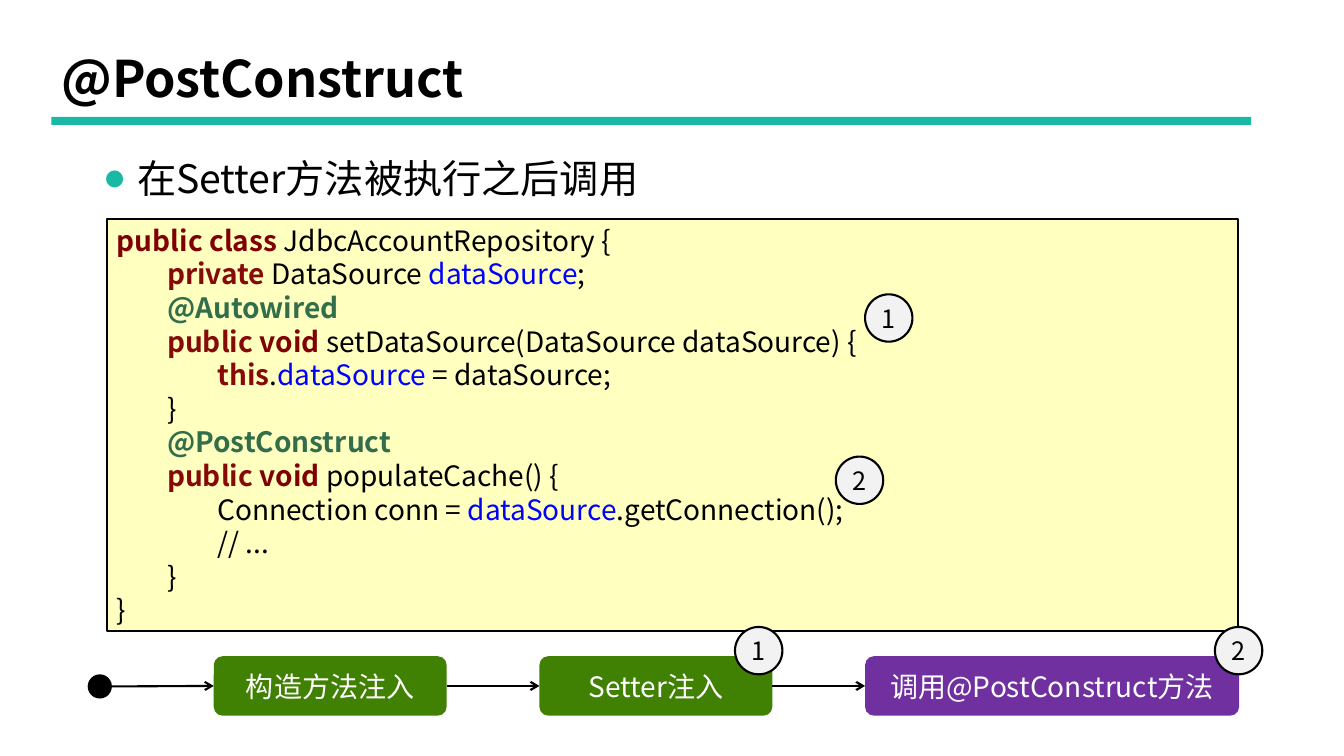
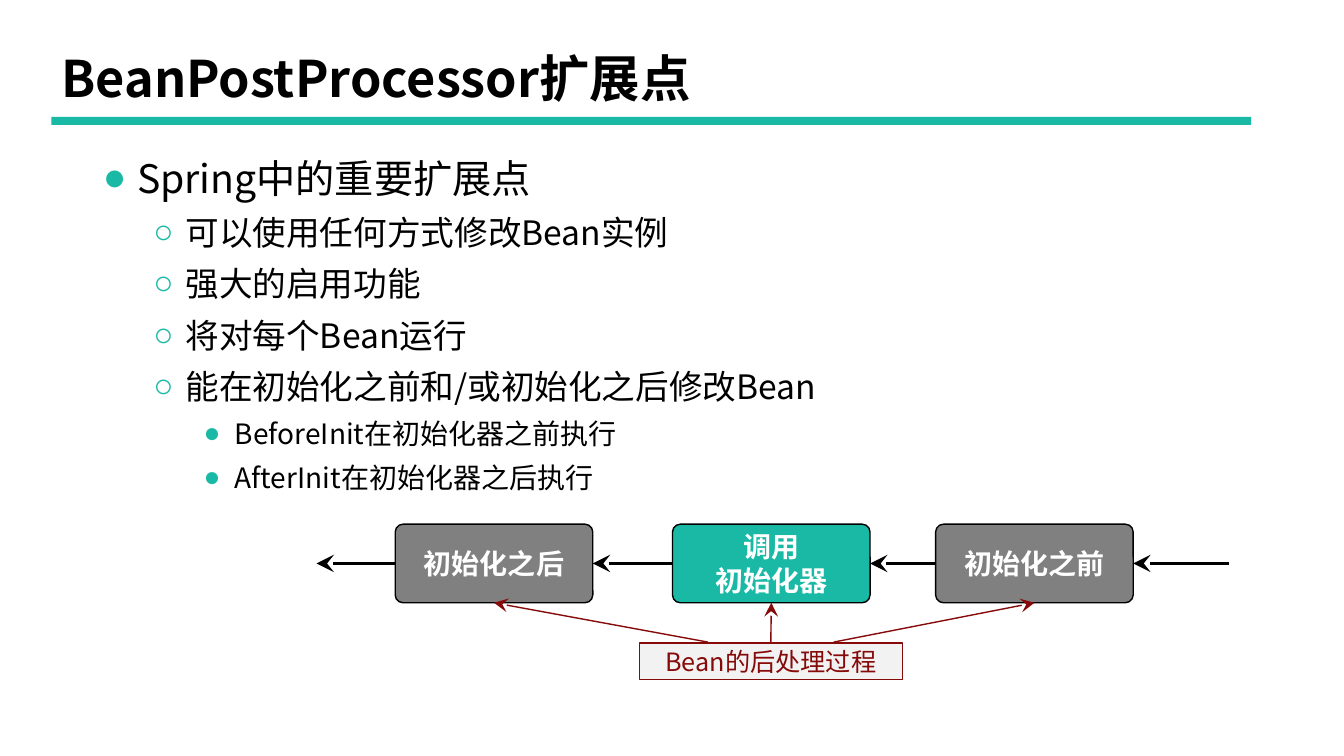
from lxml import etree
from pptx import Presentation
from pptx.dml.color import RGBColor
from pptx.enum.shapes import MSO_CONNECTOR, MSO_SHAPE
from pptx.enum.text import MSO_ANCHOR, MSO_AUTO_SIZE, PP_ALIGN
from pptx.oxml.ns import qn
from pptx.util import Emu, Pt

RECT, ROUND, OVAL = MSO_SHAPE.RECTANGLE, MSO_SHAPE.ROUNDED_RECTANGLE, MSO_SHAPE.OVAL
STRAIGHT = MSO_CONNECTOR.STRAIGHT
LEFT, CENTER = PP_ALIGN.LEFT, PP_ALIGN.CENTER
TOP, MIDDLE = MSO_ANCHOR.TOP, MSO_ANCHOR.MIDDLE
NO_FIT = MSO_AUTO_SIZE.NONE
SIDE_LEFT, SIDE_BOTTOM, SIDE_RIGHT, SIDE_TOP = 1, 2, 3, 0

FONT = "Noto Sans CJK SC"
EMU_PER_PX = 9144
BLACK, WHITE, TEAL, PALE = "000000", "FFFFFF", "1AB9A5", "F2F2F2"
GREEN, PURPLE, GRAY, CREAM = "408002", "7030A0", "808080", "FFFFC0"
MAROON, DARK_RED, BLUE, PINE = "800002", "850A09", "0000FF", "326E4C"
BOLD_CODE = {MAROON, DARK_RED, PINE}

# level: (bullet, text size, left margin, hanging indent, space before)
LEVELS = [("●", 28, 34, 34, 10), ("○", 24, 82, 32, 5), ("●", 20, 131, 31, 5)]

CODE = [
    (0, [("public class ", MAROON), ("JdbcAccountRepository {", BLACK)]),
    (1, [("private ", DARK_RED), ("DataSource ", BLACK), ("dataSource", BLUE), (";", BLACK)]),
    (1, [("@Autowired", PINE)]),
    (1, [("public ", DARK_RED), ("void ", MAROON),
         ("setDataSource(DataSource dataSource) {", BLACK)]),
    (2, [("this", DARK_RED), (".", BLACK), ("dataSource ", BLUE), ("= dataSource;", BLACK)]),
    (1, [("}", BLACK)]),
    (1, [("@PostConstruct", PINE)]),
    (1, [("public ", DARK_RED), ("void ", MAROON), ("populateCache() {", BLACK)]),
    (2, [("Connection conn = ", BLACK), ("dataSource", BLUE), (".getConnection();", BLACK)]),
    (2, [("// ...", BLACK)]),
    (1, [("}", BLACK)]),
    (0, [("}", BLACK)]),
]


def px(n):
    """Turn pixels into EMU."""
    return Emu(n * EMU_PER_PX)


def rgb(color):
    """Turn a hex string into a colour."""
    return RGBColor.from_string(color)


def add_text(p, text, size=20, color=BLACK, bold=False):
    """Add a formatted run to a paragraph."""
    r = p.add_run()
    r.text = text
    r.font.size, r.font.bold, r.font.name = Pt(size), bold, FONT
    r.font.color.rgb = rgb(color)
    etree.SubElement(r.font._element, qn("a:ea"), typeface=FONT)


def paragraphs(tf, count):
    """Yield the given number of paragraphs of a text frame."""
    for i in range(count):
        yield tf.add_paragraph() if i else tf.paragraphs[0]


def set_frame(tf, anchor=MIDDLE, inset=0):
    """Set wrapping, anchor and side insets of a text frame."""
    tf.word_wrap, tf.auto_size, tf.vertical_anchor = True, NO_FIT, anchor
    tf.margin_left = tf.margin_right = px(inset)


def place(sp, x, y, w, h):
    """Move and size a shape."""
    sp.left, sp.top, sp.width, sp.height = px(x), px(y), px(w), px(h)


def add_box(s, kind, x, y, w, h, fill, line=None, weight=1, radius=None):
    """Add a filled preset shape."""
    sp = s.shapes.add_shape(kind, px(x), px(y), px(w), px(h))
    sp.shadow.inherit = False
    sp.fill.solid()
    sp.fill.fore_color.rgb = rgb(fill)
    if line:
        sp.line.color.rgb, sp.line.width = rgb(line), Pt(weight)
    else:
        sp.line.fill.background()
    if radius is not None:
        sp.adjustments[0] = radius
    set_frame(sp.text_frame)
    return sp


def add_label(sp, *lines, **style):
    """Write centred lines into a shape."""
    for p, text in zip(paragraphs(sp.text_frame, len(lines)), lines):
        p.alignment = CENTER
        add_text(p, text, **style)
    return sp


def add_badge(s, x, y, number):
    """Add a numbered circle."""
    sp = add_box(s, OVAL, x, y, 47, 47, PALE, BLACK, 1.5)
    add_label(sp, number, size=18)


def add_arrow(s, start, end, color=BLACK, weight=1.5, head="arrow", size="med"):
    """Add an arrow; each end is a point or a (shape, side) pair."""
    points = [(0, 0) if joined(e) else e for e in (start, end)]
    c = s.shapes.add_connector(STRAIGHT, *[px(n) for point in points for n in point])
    if joined(start):
        c.begin_connect(*start)
    if joined(end):
        c.end_connect(*end)
    c.line.color.rgb, c.line.width = rgb(color), Pt(weight)
    etree.SubElement(c.line._get_or_add_ln(), qn("a:tailEnd"), type=head, w=size, len=size)
    etree.SubElement(c._element.spPr, qn("a:effectLst"))


def joined(end):
    """Tell whether an arrow end names a shape."""
    return not isinstance(end[0], int)


def add_bullet(p, level, text, first):
    """Write one list item at a level."""
    char, size, margin, hang, before = LEVELS[level]
    p.level, p.line_spacing = level, 1.1
    p.space_before = Pt(0 if first else before)
    pPr = p._p.get_or_add_pPr()
    pPr.set("marL", str(px(margin)))
    pPr.set("indent", str(px(-hang)))
    clr = etree.SubElement(pPr, qn("a:buClr"))
    etree.SubElement(clr, qn("a:srgbClr"), val=TEAL)
    etree.SubElement(pPr, qn("a:buChar"), char=char)
    add_text(p, text, size=size)


def add_slide(prs, title, items, body_height):
    """Add a slide with band, title and bulleted list."""
    s = prs.slides.add_slide(prs.slide_layouts[1])
    add_box(s, RECT, 51, 116, 1190, 8, TEAL)
    sp = s.shapes.title
    place(sp, 51, 39, 1150, 84)
    set_frame(sp.text_frame, inset=10)
    p = sp.text_frame.paragraphs[0]
    p.alignment, p.line_spacing = LEFT, 0.9
    add_text(p, title, size=36, bold=True)
    body = s.placeholders[1]
    place(body, 92, 143, 1150, body_height)
    set_frame(body.text_frame, TOP, inset=10)
    for i, p in enumerate(paragraphs(body.text_frame, len(items))):
        add_bullet(p, *items[i], first=i == 0)
    return s


def add_code(s, x, y, w, h, lines):
    """Add a box of coloured code."""
    sp = add_box(s, RECT, x, y, w, h, CREAM, BLACK, 1.5)
    set_frame(sp.text_frame, inset=10)
    for p, (depth, runs) in zip(paragraphs(sp.text_frame, len(lines)), lines):
        p.alignment = LEFT
        if depth:
            add_text(p, " " * 8 * depth)
        for text, color in runs:
            add_text(p, text, color=color, bold=color in BOLD_CODE)


def post_construct_slide(prs):
    """Build the slide on @PostConstruct."""
    s = add_slide(prs, "@PostConstruct", [(0, "在Setter方法被执行之后调用")], 516)
    add_code(s, 106, 217, 1122, 409, CODE)
    steps = [("构造方法注入", 231, GREEN), ("Setter注入", 231, GREEN),
             ("调用@PostConstruct方法", 371, PURPLE)]
    add_box(s, OVAL, 87, 669, 24, 24, BLACK)
    start = (111, 681)
    for i, (text, width, fill) in enumerate(steps):
        sp = add_box(s, ROUND, 212 + 323 * i, 651, width, 59, fill, radius=0.15)
        add_label(sp, text, color=WHITE)
        add_arrow(s, start, (sp, SIDE_LEFT))
        start = (sp, SIDE_RIGHT)
    for x, y, number in [(858, 292, "1"), (729, 622, "1"), (829, 453, "2"), (1205, 622, "2")]:
        add_badge(s, x, y, number)


def bean_post_processor_slide(prs):
    """Build the slide on BeanPostProcessor."""
    items = [
        (0, "Spring中的重要扩展点"),
        (1, "可以使用任何方式修改Bean实例"),
        (1, "强大的启用功能"),
        (1, "将对每个Bean运行"),
        (1, "能在初始化之前和/或初始化之后修改Bean"),
        (2, "BeforeInit在初始化器之前执行"),
        (2, "AfterInit在初始化器之后执行"),
    ]
    s = add_slide(prs, "BeanPostProcessor扩展点", items, 356)
    after, init, before = [
        add_label(add_box(s, ROUND, x, 520, 196, 78, fill, BLACK, radius=0.1),
                  *lines, color=WHITE, bold=True)
        for x, fill, lines in [(392, GRAY, ["初始化之后"]), (667, TEAL, ["调用", "初始化器"]),
                               (928, GRAY, ["初始化之前"])]]
    start = (1219, 559)
    for sp in (before, init, after):
        add_arrow(s, start, (sp, SIDE_RIGHT), weight=2.5, head="stealth", size="lg")
        start = (sp, SIDE_LEFT)
    add_arrow(s, start, (314, 559), weight=2.5, head="stealth", size="lg")
    note = add_box(s, RECT, 634, 638, 261, 36, PALE, DARK_RED)
    add_label(note, "Bean的后处理过程", size=18, color=DARK_RED)
    for begin, sp in [((702, 637), after), ((note, SIDE_TOP), init), ((827, 637), before)]:
        add_arrow(s, begin, (sp, SIDE_BOTTOM), DARK_RED, 1, "stealth", "lg")


def main():
    """Build and save the presentation."""
    prs = Presentation()
    prs.slide_width, prs.slide_height = px(1333), px(750)
    post_construct_slide(prs)
    bean_post_processor_slide(prs)
    prs.save("out.pptx")


if __name__ == "__main__":
    main()
